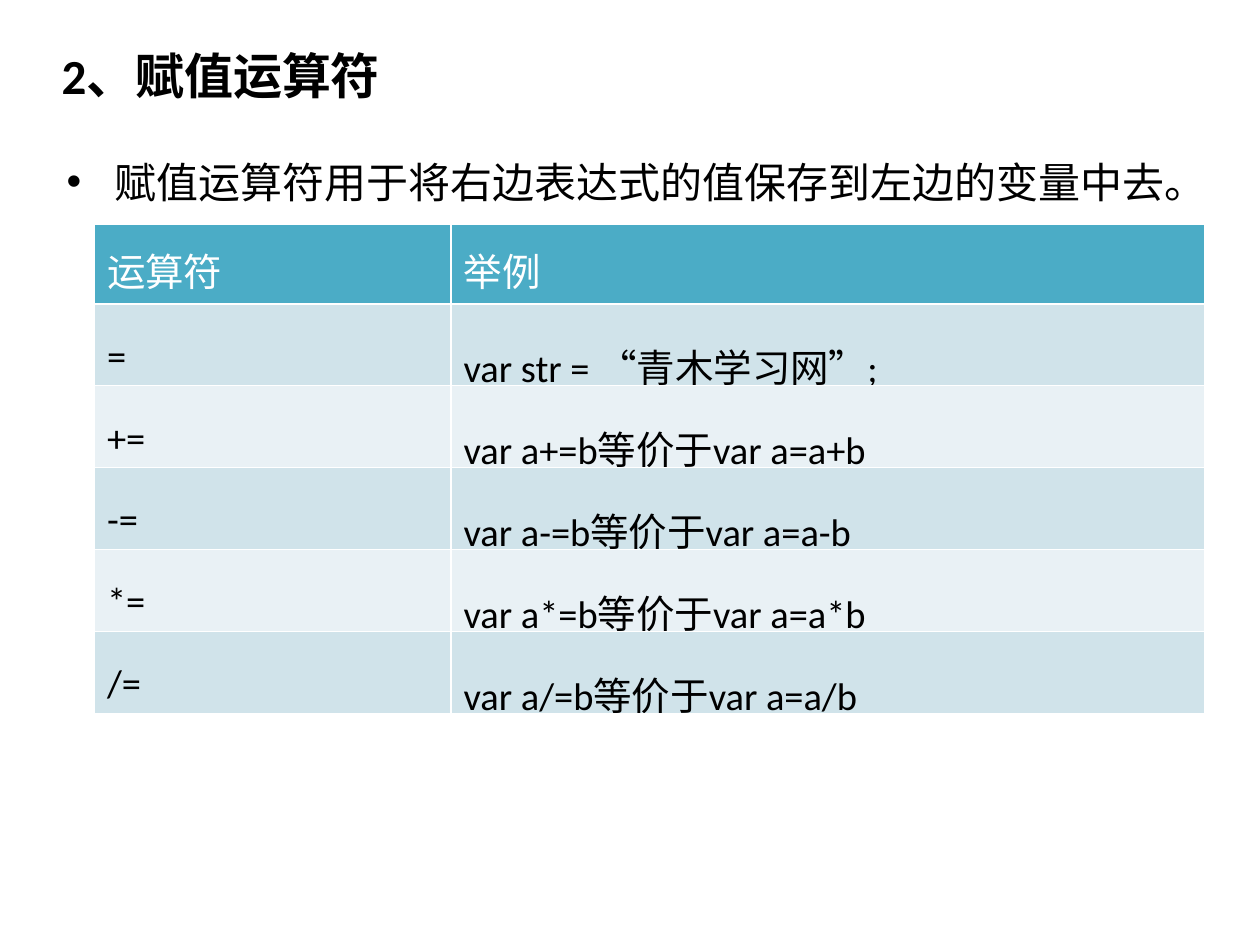
import pptx
import pptx.util
import pptx.dml.color
from lxml import etree

Inches, Pt = pptx.util.Inches, pptx.util.Pt
RGBColor = pptx.dml.color.RGBColor
BLACK = RGBColor(0x00, 0x00, 0x00)
WHITE = RGBColor(0xFF, 0xFF, 0xFF)
HEADER = RGBColor(0x4B, 0xAC, 0xC6)
BANDS = [RGBColor(0xE9, 0xF1, 0xF5), RGBColor(0xD0, 0xE3, 0xEA)]
A = "{http://schemas.openxmlformats.org/drawingml/2006/main}"


def add_text(p, text, size, color, bold=False):
    r = p.add_run()
    r.text = text
    r.font.name = "Calibri"
    r.font.size = Pt(size)
    r.font.bold = bold
    r.font.color.rgb = color


def add_box(left, top, width, height):
    tf = s.shapes.add_textbox(Inches(left), Inches(top), Inches(width), Inches(height)).text_frame
    tf.word_wrap = True
    return tf.paragraphs[0]


prs = pptx.Presentation()
prs.slide_width, prs.slide_height = Inches(10), Inches(7.5)
s = prs.slides.add_slide(prs.slide_layouts[6])

# Title
p = add_box(0.39, 0.31, 8.91, 0.7)
p.space_before = Pt(5.6)
add_text(p, "2、赋值运算符", 28, BLACK, True)

# Bulleted definition
p = add_box(0.43, 0.99, 9.29, 1.5)
p.line_spacing = 1.5
p.space_before = Pt(4.8)
add_text(p, "赋值运算符用于将右边表达式的值保存到左边的变量中去。", 24, BLACK)
pPr = p._p.get_or_add_pPr()
pPr.set("marL", str(Inches(0.38)))
pPr.set("indent", str(Inches(-0.38)))
etree.SubElement(pPr, A + "buFont", typeface="Arial")
etree.SubElement(pPr, A + "buChar", char="•")

# Operator table
rows = [("运算符", "举例"), ("=", "var str = “青木学习网”;")]
rows += [(f"{op}=", f"var a{op}=b等价于var a=a{op}b") for op in "+-*/"]
table = s.shapes.add_table(len(rows), 2, Inches(0.75), Inches(1.78),
                           Inches(8.82), Inches(3.79)).table
for column, width in zip(table.columns, (2.83, 5.98)):
    column.width = Inches(width)
for i, row in enumerate(rows):
    for j, text in enumerate(row):
        cell = table.cell(i, j)
        cell.fill.solid()
        cell.fill.fore_color.rgb = BANDS[i % 2] if i else HEADER
        p = cell.text_frame.paragraphs[0]
        p.line_spacing = 1.5 if i else 1.2
        add_text(p, text, 22, BLACK if i else WHITE)

prs.save("out.pptx")
